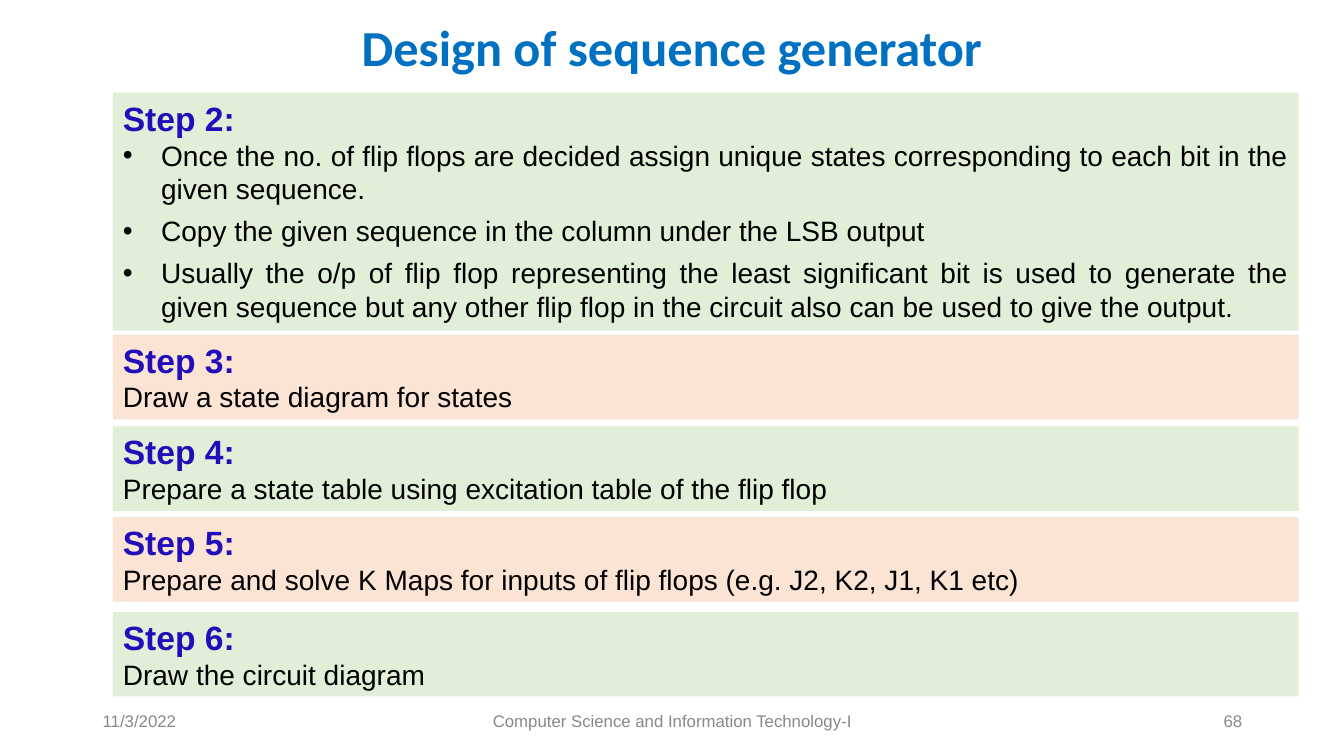
"""Build the slide listing steps 2 to 6 of sequence generator design."""
from lxml import etree
from pptx import Presentation
from pptx.dml.color import RGBColor
from pptx.enum.shapes import MSO_SHAPE
from pptx.enum.text import MSO_ANCHOR, PP_ALIGN
from pptx.oxml.ns import qn
from pptx.util import Inches, Pt

RECTANGLE = MSO_SHAPE.RECTANGLE
TOP, MIDDLE = MSO_ANCHOR.TOP, MSO_ANCHOR.MIDDLE
LEFT, CENTER, RIGHT = PP_ALIGN.LEFT, PP_ALIGN.CENTER, PP_ALIGN.RIGHT
JUSTIFY = PP_ALIGN.JUSTIFY

COLORS = {"title": "0070C0", "heading": "210DB9", "body": "000000",
          "footer": "888888", "green": "E1EFD8", "peach": "FBE4D4"}
TITLE = "Design of sequence generator"
STEPS = [
    ("Step 2:", 0.92, 2.36, [
        "Once the no. of flip flops are decided assign unique states "
        "corresponding to each bit in the given sequence.",
        "Copy the given sequence in the column under the LSB output",
        "Usually the o/p of flip flop representing the least significant bit "
        "is used to generate the given sequence but any other flip flop in "
        "the circuit also can be used to give the output."]),
    ("Step 3:", 3.32, 0.84, ["Draw a state diagram for states"]),
    ("Step 4:", 4.23, 0.84,
     ["Prepare a state table using excitation table of the flip flop"]),
    ("Step 5:", 5.13, 0.84,
     ["Prepare and solve K Maps for inputs of flip flops "
      "(e.g. J2, K2, J1, K1 etc)"]),
    ("Step 6:", 6.07, 0.84, ["Draw the circuit diagram"]),
]
FOOTERS = [
    ("11/3/2022", 0.92, 3, LEFT),
    ("Computer Science and Information Technology-I", 4.42, 4.5, CENTER),
    ("68", 9.42, 3, RIGHT),
]
STEP_LEFT, STEP_WIDTH = 1.12, 11.76
BULLET_INDENT = 0.38


def add_run(paragraph, text, size, color, bold=False, font="Arial"):
    run = paragraph.add_run()
    run.text = text
    run.font.name = font
    run.font.size = Pt(size)
    run.font.bold = bold
    run.font.color.rgb = RGBColor.from_string(COLORS[color])


def add_bullet(paragraph):
    properties = paragraph._p.get_or_add_pPr()
    properties.set("marL", str(Inches(BULLET_INDENT)))
    properties.set("indent", str(-Inches(BULLET_INDENT)))
    etree.SubElement(properties, qn("a:buFont")).set("typeface", "Arial")
    etree.SubElement(properties, qn("a:buChar")).set("char", "•")


def add_title(slide):
    title = slide.shapes.title
    title.left, title.top = Inches(1.12), Inches(0.15)
    title.width, title.height = Inches(11.09), Inches(0.69)
    title.text_frame.vertical_anchor = MIDDLE
    title.text_frame.word_wrap = True
    paragraph = title.text_frame.paragraphs[0]
    paragraph.alignment = CENTER
    paragraph.line_spacing = 0.9
    add_run(paragraph, TITLE, 36, "title", True, "Calibri")


def add_step(slide, heading, top, height, lines, fill):
    shape = slide.shapes.add_shape(
        RECTANGLE, Inches(STEP_LEFT), Inches(top),
        Inches(STEP_WIDTH), Inches(height))
    shape.shadow.inherit = False
    shape.fill.solid()
    shape.fill.fore_color.rgb = RGBColor.from_string(COLORS[fill])
    shape.line.fill.background()
    frame = shape.text_frame
    frame.word_wrap = True
    frame.vertical_anchor = TOP
    bulleted = len(lines) > 1
    alignment = JUSTIFY if bulleted else LEFT
    paragraph = frame.paragraphs[0]
    paragraph.alignment = alignment
    add_run(paragraph, heading, 24, "heading", True)
    for index, line in enumerate(lines):
        paragraph = frame.add_paragraph()
        paragraph.alignment = alignment
        if index:
            paragraph.space_before = Pt(6)
        if bulleted:
            add_bullet(paragraph)
        add_run(paragraph, line, 20, "body")


def add_footer(slide, text, left, width, alignment):
    box = slide.shapes.add_textbox(
        Inches(left), Inches(6.95), Inches(width), Inches(0.4))
    frame = box.text_frame
    frame.word_wrap = True
    frame.vertical_anchor = MIDDLE
    frame.paragraphs[0].alignment = alignment
    add_run(frame.paragraphs[0], text, 12, "footer")


def main():
    presentation = Presentation()
    presentation.slide_width = Inches(13.33)
    presentation.slide_height = Inches(7.5)
    slide = presentation.slides.add_slide(presentation.slide_layouts[5])
    add_title(slide)
    for footer in FOOTERS:
        add_footer(slide, *footer)
    for index, step in enumerate(STEPS):
        add_step(slide, *step, "peach" if index % 2 else "green")
    presentation.save("out.pptx")


if __name__ == "__main__":
    main()
